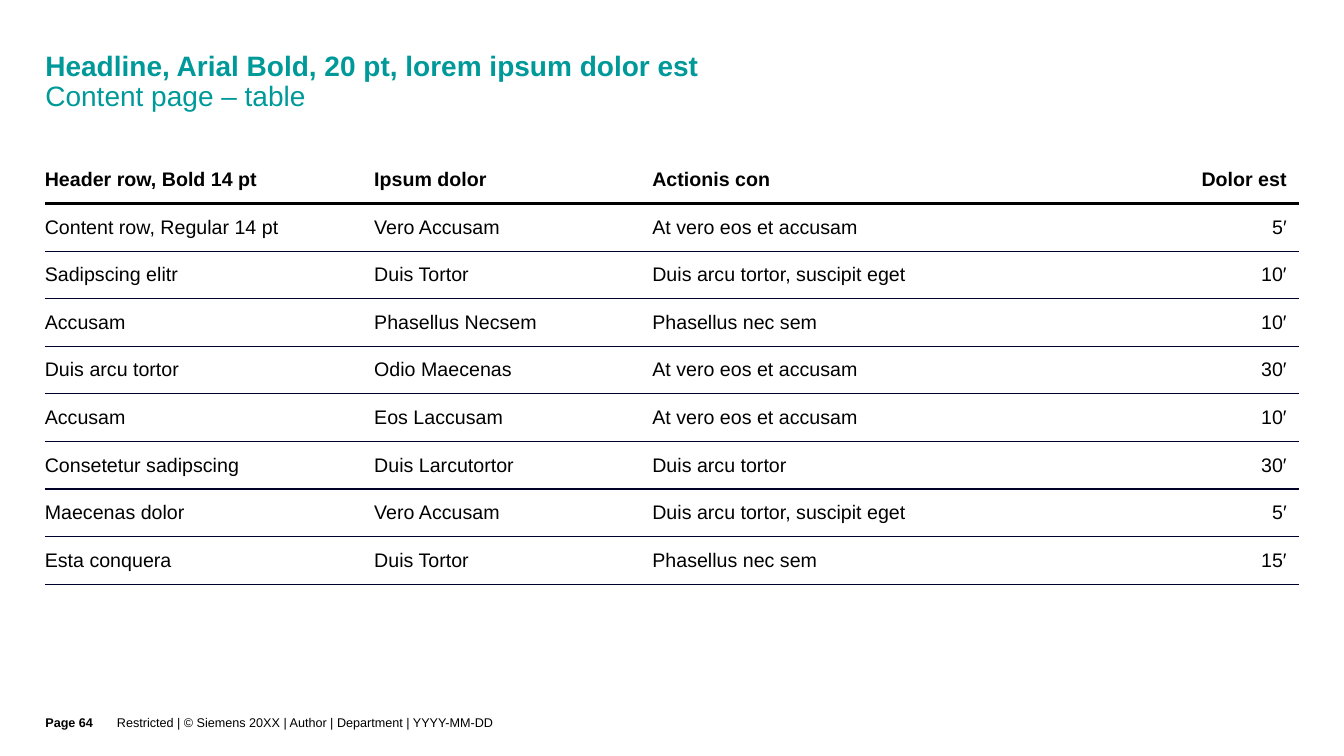
from lxml.etree import SubElement
from pptx import Presentation
from pptx.dml.color import RGBColor
from pptx.enum.text import MSO_ANCHOR, MSO_AUTO_SIZE, PP_ALIGN
from pptx.oxml.ns import qn
from pptx.util import Pt

TEAL = RGBColor(0x00, 0x99, 0x99)
BLACK = RGBColor(0x00, 0x00, 0x00)
NAVY = RGBColor(0x00, 0x00, 0x28)
NO_GRID_STYLE = "{2D5ABB26-0587-4C30-8999-92F81FD0307C}"


def add_span(para, text, size, color, bold):
    span = para.add_run()
    span.text = text
    span.font.name = "Arial"
    span.font.size = Pt(size)
    span.font.bold = bold
    span.font.color.rgb = color


def add_bottom_border(cell, width, color):
    line = SubElement(cell._tc.get_or_add_tcPr(), qn("a:lnB"), w=str(Pt(width)))
    fill = SubElement(line, qn("a:solidFill"))
    SubElement(fill, qn("a:srgbClr"), val=str(color))
    SubElement(line, qn("a:prstDash"), val="solid")


deck = Presentation()
deck.slide_width = Pt(960)
deck.slide_height = Pt(540)
page = deck.slides.add_slide(deck.slide_layouts[5])

title = page.shapes.title
title.left, title.top, title.width, title.height = Pt(32.4), Pt(37.4), Pt(777), Pt(45.4)
frame = title.text_frame
frame.auto_size = MSO_AUTO_SIZE.NONE
frame.word_wrap = True
frame.vertical_anchor = MSO_ANCHOR.TOP
frame.margin_left = frame.margin_top = 0
frame.margin_right, frame.margin_bottom = Pt(25.2), Pt(1.4)
para = frame.paragraphs[0]
para.alignment = PP_ALIGN.LEFT
para.line_spacing = 0.9
add_span(para, "Headline, Arial Bold, 20 pt, lorem ipsum dolor est", 20, TEAL, True)
para.add_line_break()
add_span(para, "Content page – table", 20, TEAL, False)

rows = [
    ("Header row, Bold 14 pt", "Ipsum dolor", "Actionis con", "Dolor est"),
    ("Content row, Regular 14 pt", "Vero Accusam", "At vero eos et accusam", "5′"),
    ("Sadipscing elitr", "Duis Tortor", "Duis arcu tortor, suscipit eget", "10′"),
    ("Accusam", "Phasellus Necsem", "Phasellus nec sem", "10′"),
    ("Duis arcu tortor", "Odio Maecenas", "At vero eos et accusam", "30′"),
    ("Accusam", "Eos Laccusam", "At vero eos et accusam", "10′"),
    ("Consetetur sadipscing", "Duis Larcutortor", "Duis arcu tortor", "30′"),
    ("Maecenas dolor", "Vero Accusam", "Duis arcu tortor, suscipit eget", "5′"),
    ("Esta conquera", "Duis Tortor", "Phasellus nec sem", "15′"),
]
column_widths = [226.8, 198.7, 339.8, 130.3]

table_frame = page.shapes.add_table(
    len(rows), len(column_widths), Pt(32), Pt(111.4), Pt(sum(column_widths)), Pt(34 * len(rows))
)
table = table_frame.table
table.horz_banding = False
table._tbl.tblPr.find(qn("a:tableStyleId")).text = NO_GRID_STYLE
for column, width in zip(table.columns, column_widths):
    column.width = Pt(width)

for row_index, texts in enumerate(rows):
    is_header = row_index == 0
    table.rows[row_index].height = Pt(34)
    for column_index, text in enumerate(texts):
        cell = table.cell(row_index, column_index)
        cell.vertical_anchor = MSO_ANCHOR.MIDDLE
        cell.margin_left = Pt(8.5) if column_index else 0
        cell.margin_right = Pt(8.5)
        cell.margin_top = cell.margin_bottom = Pt(2.8)
        if is_header:
            add_bottom_border(cell, 2.25, BLACK)
        else:
            add_bottom_border(cell, 1, NAVY)
        cell.fill.background()
        para = cell.text_frame.paragraphs[0]
        is_last = column_index == len(texts) - 1
        para.alignment = PP_ALIGN.RIGHT if is_last else PP_ALIGN.LEFT
        add_span(para, text, 14, BLACK, is_header)

footers = [
    (83.5, 725.8, "Restricted | © Siemens 20XX | Author | Department | YYYY-MM-DD", False),
    (32.4, 51.1, "Page 64", True),
]
for left, width, text, bold in footers:
    box = page.shapes.add_textbox(Pt(left), Pt(496.8), Pt(width), Pt(43.2))
    frame = box.text_frame
    frame.word_wrap = True
    frame.vertical_anchor = MSO_ANCHOR.MIDDLE
    frame.margin_left = frame.margin_top = frame.margin_right = 0
    frame.margin_bottom = Pt(5)
    add_span(frame.paragraphs[0], text, 9, BLACK, bold)

deck.save("out.pptx")
